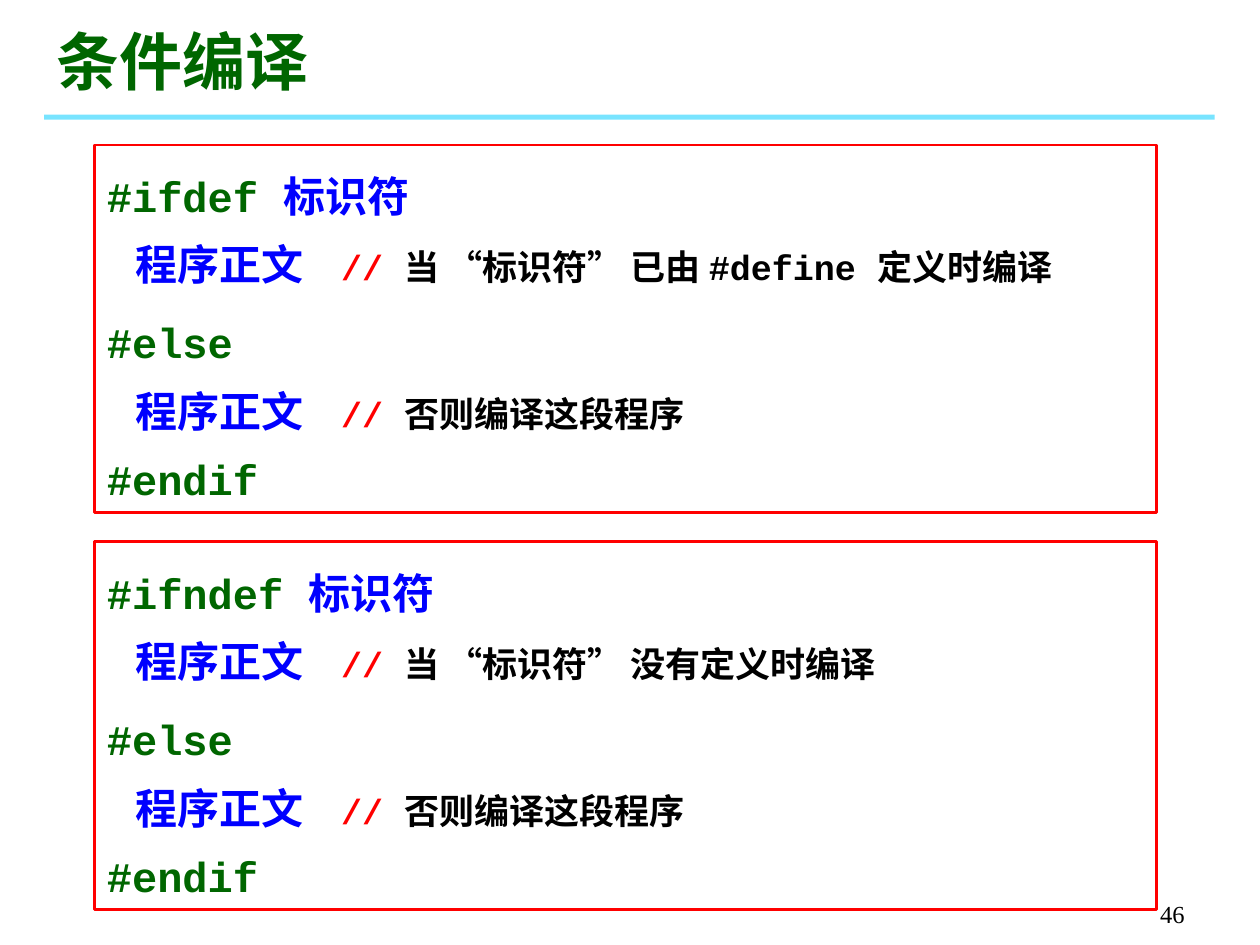
from lxml.etree import SubElement
from pptx import Presentation
from pptx.dml.color import RGBColor
from pptx.enum.shapes import MSO_SHAPE
from pptx.enum.text import MSO_ANCHOR, MSO_AUTO_SIZE, PP_ALIGN
from pptx.oxml.ns import qn
from pptx.util import Inches, Pt

GREEN = RGBColor(0x00, 0x66, 0x00)
BLUE = RGBColor(0x00, 0x00, 0xFF)
RED = RGBColor(0xFF, 0x00, 0x00)
BLACK = RGBColor(0x00, 0x00, 0x00)
CYAN = RGBColor(0x00, 0xCC, 0xFF)
CODE = "Courier New"
SERIF = "Times New Roman"


def add_run(para, text, size, color, face=CODE, bold=True):
    run = para.add_run()
    run.text = text
    font = run.font
    font.name, font.size, font.bold = face, Pt(size), bold
    font.color.rgb = color


def add_tab(para, pos):
    tabs = SubElement(para._p.get_or_add_pPr(), qn("a:tabLst"))
    SubElement(tabs, qn("a:tab"), pos=str(pos), algn="l")


def add_title(slide, text, left, top, width, height):
    title = slide.shapes.title
    title.left, title.top, title.width, title.height = left, top, width, height
    frame = title.text_frame
    frame.vertical_anchor = MSO_ANCHOR.BOTTOM
    frame.auto_size = MSO_AUTO_SIZE.SHAPE_TO_FIT_TEXT
    para = frame.paragraphs[0]
    para.alignment = PP_ALIGN.LEFT
    add_run(para, text, 36, GREEN, SERIF)


def add_rule(slide, left, top, width, height):
    rule = slide.shapes.add_shape(MSO_SHAPE.RECTANGLE, left, top, width, height)
    rule.shadow.inherit = False
    rule.line.fill.background()
    rule.fill.solid()
    rule.fill.fore_color.rgb = CYAN
    tint = rule.fill._xPr.find(".//" + qn("a:srgbClr"))
    SubElement(tint, qn("a:alpha"), val="53000")


def add_number(slide, text, left, top, width, height):
    frame = slide.shapes.add_textbox(left, top, width, height).text_frame
    frame.word_wrap = True
    frame.vertical_anchor = MSO_ANCHOR.BOTTOM
    para = frame.paragraphs[0]
    para.alignment = PP_ALIGN.RIGHT
    add_run(para, text, 14, BLACK, SERIF, False)


def add_code(slide, word, note, left, top, width, height):
    """Frame one conditional block: word opens it, note explains its first branch."""
    box = slide.shapes.add_shape(MSO_SHAPE.RECTANGLE, left, top, width, height)
    box.shadow.inherit = False
    box.fill.background()
    box.line.color.rgb = RED
    box.line.width = Pt(1.5)
    frame = box.text_frame
    frame.word_wrap = True
    frame.auto_size = MSO_AUTO_SIZE.SHAPE_TO_FIT_TEXT
    frame.vertical_anchor = MSO_ANCHOR.TOP
    frame.margin_top = Inches(0.12)

    def body(text):
        return [("   程序正文\t", 24, BLUE), ("// ", 20, RED), (text, 20, BLACK)]

    lines = [
        (0, [(word + " ", 24, GREEN), ("标识符", 24, BLUE)]),
        (4.8, body(note)),
        (9.6, [("#else", 24, GREEN)]),
        (4.8, body("否则编译这段程序")),
        (4.8, [("#endif", 24, GREEN)]),
    ]
    for i, (gap, runs) in enumerate(lines):
        para = frame.add_paragraph() if i else frame.paragraphs[0]
        para.alignment = PP_ALIGN.LEFT
        para.line_spacing = 1.2
        para.space_before = Pt(gap)
        if len(runs) == 3:
            add_tab(para, Inches(1.86))
        for run in runs:
            add_run(para, *run)


def main():
    deck = Presentation()
    deck.slide_width, deck.slide_height = Inches(10), Inches(7.5)
    slide = deck.slides.add_slide(deck.slide_layouts[5])
    add_rule(slide, Inches(0.35), Inches(0.91), Inches(9.29), Inches(0.04))
    add_number(slide, "46", Inches(7.42), Inches(6.92), Inches(2.08), Inches(0.5))
    add_title(slide, "条件编译", Inches(0.35), Inches(0.13), Inches(5.36), Inches(0.7))
    blocks = [
        ("#ifdef", "当 “标识符” 已由 #define 定义时编译"),
        ("#ifndef", "当 “标识符” 没有定义时编译"),
    ]
    for i, (word, note) in enumerate(blocks):
        top = Inches(1.15 + 3.15 * i)
        add_code(slide, word, note, Inches(0.75), top, Inches(8.43), Inches(2.92))
    deck.save("out.pptx")


if __name__ == "__main__":
    main()
